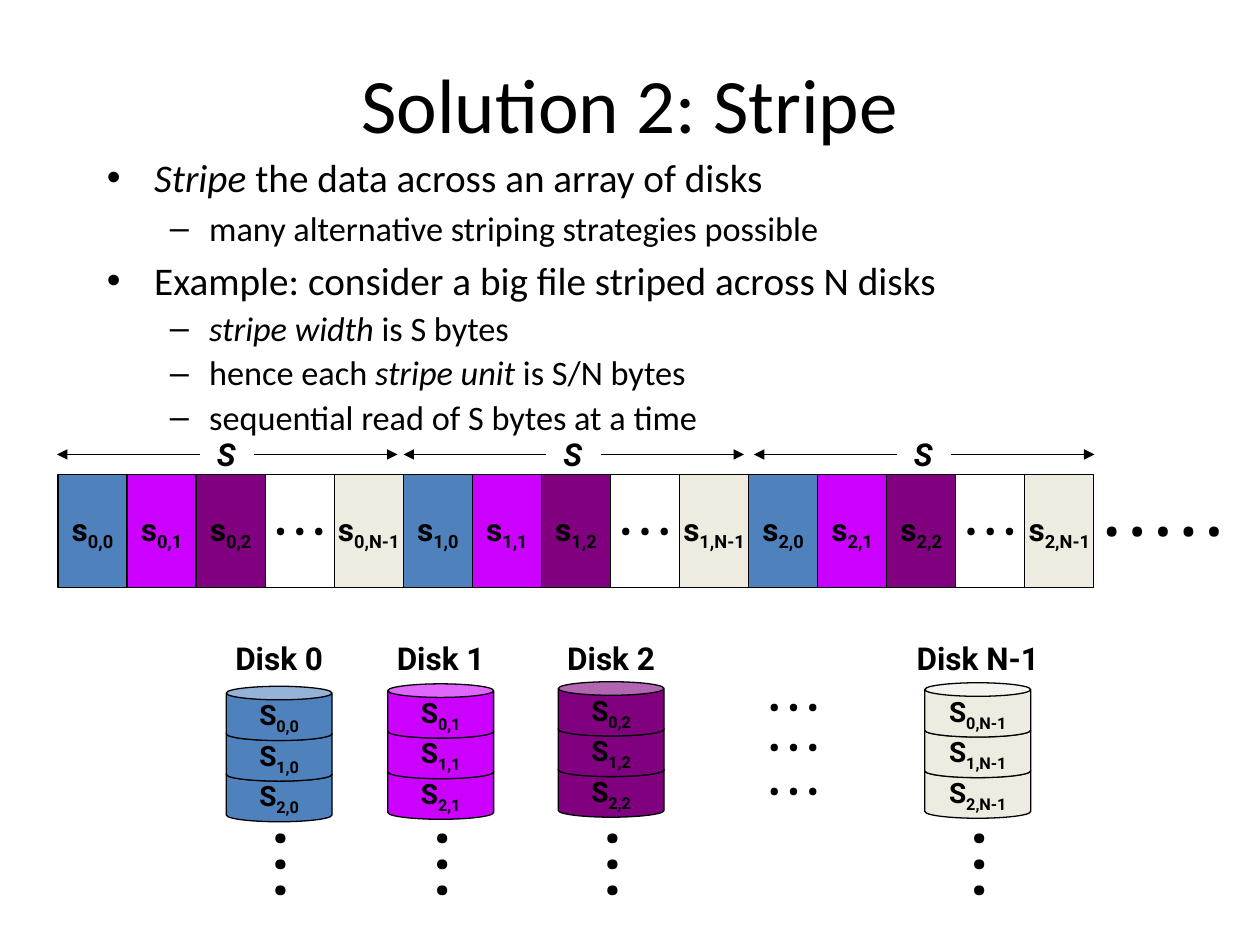
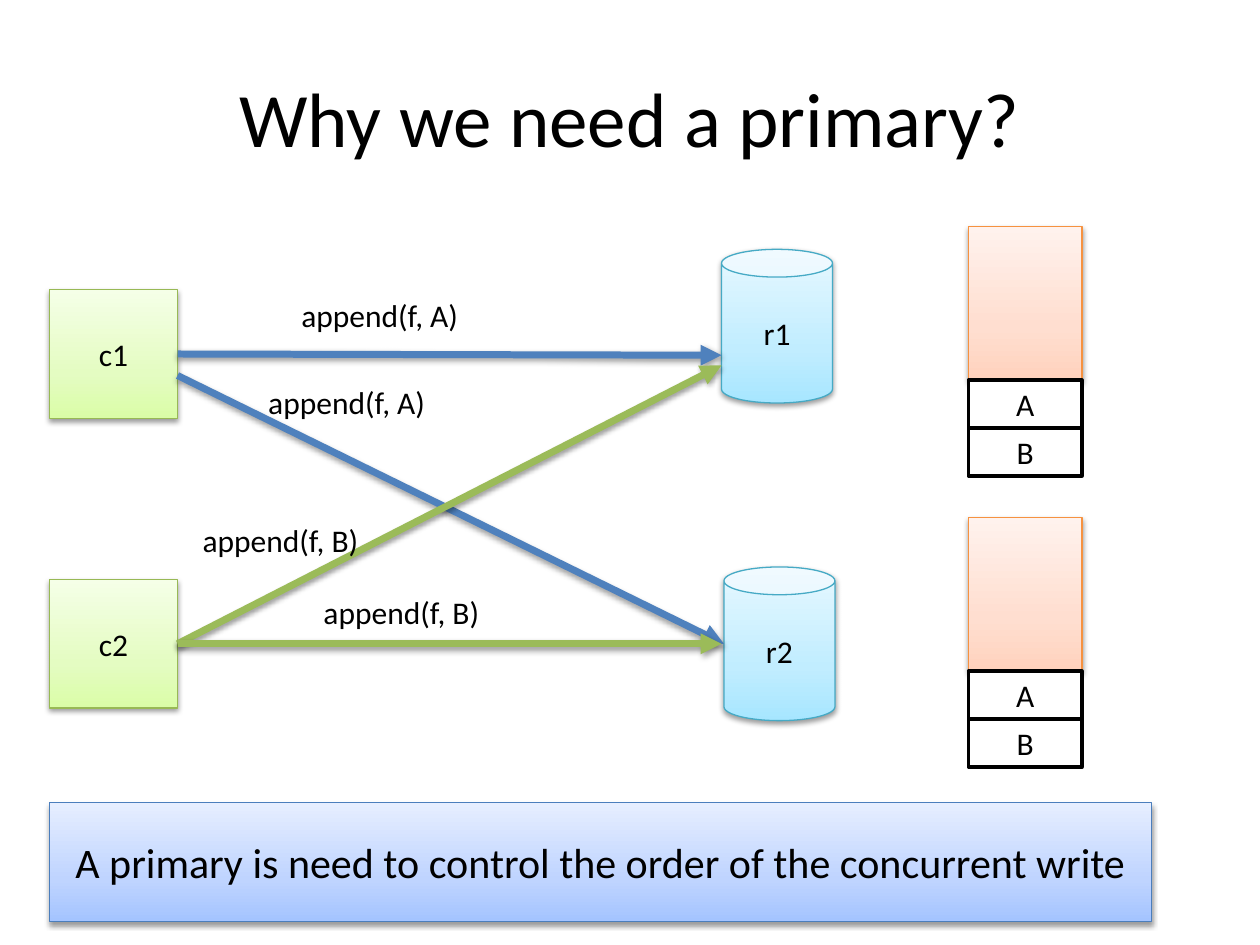
from pptx import Presentation
from pptx import util as u
from pptx.dml.color import RGBColor
from pptx.enum import shapes, text
from pptx.oxml import parse_xml
from pptx.oxml.ns import nsdecls

Pt = u.Pt
RECT, CAN = shapes.MSO_SHAPE.RECTANGLE, shapes.MSO_SHAPE.CAN
CENTER, LEFT = text.PP_ALIGN.CENTER, text.PP_ALIGN.LEFT

BLACK = RGBColor(0x00, 0x00, 0x00)
WHITE = RGBColor(0xFF, 0xFF, 0xFF)
BLUE = RGBColor(0x4F, 0x81, 0xBD)
MAGENTA = RGBColor(0xCC, 0x00, 0xFF)
PURPLE = RGBColor(0x80, 0x00, 0x80)
CREAM = RGBColor(0xEE, 0xEC, 0xE1)
GREEN = RGBColor(0x9B, 0xBB, 0x59)
GREEN_EDGE = RGBColor(0x98, 0xB9, 0x55)
CYAN_EDGE = RGBColor(0x46, 0xAA, 0xC5)
ORANGE_EDGE = RGBColor(0xF6, 0x92, 0x40)
BLUE_EDGE = RGBColor(0x4B, 0x7E, 0xBC)

# Gradient colours from bottom to top, at 0, 35 and 100 percent
GREEN_FADE = ["DAFDA7", "E4FCC2", "F5FFE7"]
CYAN_FADE = ["A7E6FF", "C1EDFF", "E7F8FF"]
ORANGE_FADE = ["FFD2BD", "FFDED0", "FFF2ED"]
BLUE_FADE = ["A4C4FF", "BFD4FF", "E6EEFF"]

SHADOW = (f'<a:effectLst {nsdecls("a")}><a:outerShdw blurRad="40000" dist="20000" '
          'dir="5400000" rotWithShape="0"><a:srgbClr val="000000"><a:alpha val="38000"/>'
          '</a:srgbClr></a:outerShdw></a:effectLst>')
NO_SHADOW = f'<a:effectLst {nsdecls("a")}/>'


def box(s, kind, x, y, w, h, label="", size=18, font="Calibri", fill=None,
        edge=BLACK, weight=0.75, align=CENTER, wrap=True, italic=False):
    """Add a shape, or a text box if kind is None; "_" in label starts a subscript."""
    area = Pt(x), Pt(y), Pt(w), Pt(h)
    if kind is None:
        sp = s.shapes.add_textbox(*area)
    else:
        sp = s.shapes.add_shape(kind, *area)
        spPr = sp._element.spPr
        if isinstance(fill, list):
            stops = "".join(f'<a:gs pos="{pos}"><a:srgbClr val="{c}"/></a:gs>'
                            for pos, c in zip((0, 35000, 100000), fill))
            spPr.insert(2, parse_xml(
                f'<a:gradFill {nsdecls("a")} rotWithShape="1"><a:gsLst>{stops}</a:gsLst>'
                '<a:lin ang="16200000" scaled="0"/></a:gradFill>'))
        else:
            sp.fill.solid()
            sp.fill.fore_color.rgb = fill
        sp.line.color.rgb = edge
        sp.line.width = Pt(weight)
        spPr.append(parse_xml(SHADOW if isinstance(fill, list) else NO_SHADOW))
    tf = sp.text_frame
    tf.word_wrap = wrap
    if not wrap:
        tf.margin_left = tf.margin_right = 0
    tf.vertical_anchor = text.MSO_ANCHOR.MIDDLE
    p = tf.paragraphs[0]
    p.alignment = align
    for i, part in enumerate(label.split("_") if label else []):
        r = p.add_run()
        r.text = part
        r.font.size, r.font.name = Pt(size), font
        r.font.bold, r.font.italic = font == "Roboto", italic
        r.font.color.rgb = BLACK
        if i:
            r._r.get_or_add_rPr().set("baseline", "-25000")
    return sp


def arrow(s, x1, y1, x2, y2, color=BLACK, weight=0.75, effect=NO_SHADOW):
    c = s.shapes.add_connector(shapes.MSO_CONNECTOR.STRAIGHT,
                               Pt(x1), Pt(y1), Pt(x2), Pt(y2))
    c.line.color.rgb = color
    c.line.width = Pt(weight)
    c.line._get_or_add_ln().append(
        parse_xml(f'<a:tailEnd {nsdecls("a")} type="triangle"/>'))
    c._element.spPr.append(parse_xml(effect))
    return c


prs = Presentation()
prs.slide_width, prs.slide_height = Pt(720), Pt(540)
slides = []
for title, top in (("Solution 2: Stripe", 13.5), ("Why we need a primary?", 21.6)):
    s = prs.slides.add_slide(prs.slide_layouts[6])
    box(s, None, 36, top, 648, 90, title, size=44)
    slides.append(s)
stripe_slide, primary_slide = slides

# Slide 1: bullets, with *...* in italics
s = stripe_slide
bullets = [
    (0, 0, "*Stripe* the data across an array of disks"),
    (1, 3.9, "many alternative striping strategies possible"),
    (0, 4.5, "Example: consider a big file striped across N disks"),
    (1, 2, "*stripe width* is S bytes"),
    (1, 2, "hence each *stripe unit* is S/N bytes"),
    (1, 2, "sequential read of S bytes at a time"),
]
LEVELS = [("•", 27, -27, 22.4), ("–", 58.5, -22.5, 19.6)]
tf = s.shapes.add_textbox(Pt(54), Pt(84.2), Pt(612), Pt(157)).text_frame
tf.word_wrap = True
for i, (level, before, line) in enumerate(bullets):
    mark, margin, indent, size = LEVELS[level]
    p = tf.add_paragraph() if i else tf.paragraphs[0]
    p.level = level
    p.space_before = Pt(before)
    pPr = p._p.get_or_add_pPr()
    pPr.set("marL", str(Pt(margin)))
    pPr.set("indent", str(Pt(indent)))
    pPr.append(parse_xml(f'<a:buFont {nsdecls("a")} typeface="Arial"/>'))
    pPr.append(parse_xml(f'<a:buChar {nsdecls("a")} char="{mark}"/>'))
    for j, part in enumerate(line.split("*")):
        if part:
            r = p.add_run()
            r.text = part
            r.font.size, r.font.name = Pt(size), "Calibri"
            r.font.italic = j % 2 == 1
            r.font.color.rgb = BLACK

# Striped file: three stripes of five units
roboto = dict(font="Roboto", wrap=False)
UNITS = [("0", BLUE), ("1", MAGENTA), ("2", PURPLE), (None, WHITE), ("N-1", CREAM)]
UNIT_W, FILE_X, FILE_Y, FILE_H = 39.46, 33.2, 271.2, 64.6
for stripe, s_x in enumerate((116.6, 314.6, 514.8)):
    for i, (disk, color) in enumerate(UNITS):
        label = f"s_{stripe},{disk}" if disk else "• • •"
        box(s, RECT, FILE_X + (5 * stripe + i) * UNIT_W, FILE_Y, UNIT_W, FILE_H,
            label, fill=color, **roboto)
    box(s, None, s_x - 2, 244.8, 29.5, 28.8, "S", italic=True, **roboto)
    arrow(s, s_x - 2.4, 259.7, s_x - 84, 259.7)
    arrow(s, s_x + 28.8, 259.7, s_x + 110.6, 259.7)
box(s, None, 627.8, FILE_Y, 73.4, FILE_H, "• • • • •", size=24, **roboto)

# Disks, stacked from the bottom row up
DISKS = [("0", BLUE, 129.3, 392.2), ("1", MAGENTA, 221.6, 390.8),
         ("2", PURPLE, 319, 389.6), ("N-1", CREAM, 528.5, 390.2)]
DISK_W = 60.5
for disk, color, x, y in DISKS:
    for row in (2, 1, 0):
        box(s, CAN, x, y + row * 23.2, DISK_W, 31, f"S_{row},{disk}", size=16,
            fill=color, **roboto)
    box(s, None, x - 13, 361.4, DISK_W + 26, 28.8, f"Disk {disk}", **roboto)
    sp = box(s, None, x + 7.9, 475.9, 44.6, 36.7, "• • •", size=24, **roboto)
    sp.rotation = 270
for y in (389.5, 412.6, 437.8):
    box(s, None, 431.5, y, 43.9, 28.8, "• • •", **roboto)

# Slide 2: clients, replicas and their logs
s = primary_slide
c1, c2 = [box(s, RECT, 28.1, y, 73.4, 73.4, name, fill=GREEN_FADE, edge=GREEN_EDGE)
          for name, y in (("c1", 165.6), ("c2", 331.2))]
for name, x, y in (("r1", 412.3, 142.5), ("r2", 413.7, 324)):
    box(s, CAN, x, y, 63.4, 87.8, name, fill=CYAN_FADE, edge=CYAN_EDGE)
for y in (129.6, 295.9):
    box(s, RECT, 553.5, y, 64.8, 87.8, fill=ORANGE_FADE, edge=ORANGE_EDGE)
    for i, entry in enumerate("AB"):
        box(s, RECT, 553.5, y + 87.6 + i * 27.4, 64.8, 27.4, entry, fill=WHITE, weight=2)

# Appends; a client is given where the arrow leaves the middle of its side
for client, y1, x2, y2, color in (
        (c1, 202.3, 412.3, 203, BLUE), (None, 214.6, 413.7, 367.9, BLUE),
        (c2, 367.9, 412.3, 208.8, GREEN), (c2, 367.9, 412.3, 367.9, GREEN)):
    c = arrow(s, 101.5, y1, x2, y2, color, 4, SHADOW)
    if client is not None:
        c.begin_connect(client, 3)
for entry, x, y in (("A", 165.1, 165.6), ("A", 146.2, 215.3),
                    ("B", 108.7, 294), ("B", 177.8, 335.5)):
    box(s, None, x, y, 113, 28.8, f"append(f, {entry})", align=LEFT)

box(s, RECT, 28.1, 458.8, 630, 67.7,
    "A primary is need to control the order of the concurrent write",
    size=24, fill=BLUE_FADE, edge=BLUE_EDGE)

prs.save("out.pptx")
